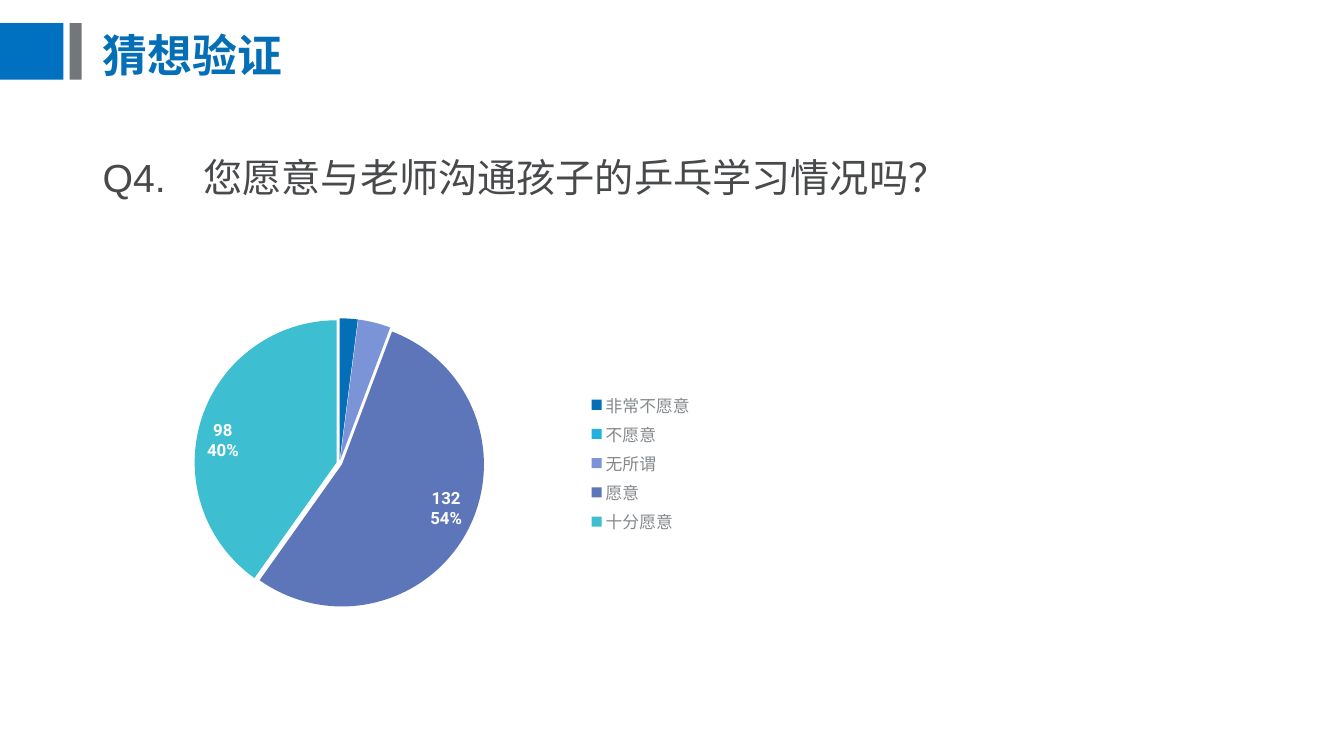
from lxml import etree
from pptx import Presentation
from pptx.chart.data import CategoryChartData
from pptx.dml.color import RGBColor
from pptx.enum.chart import XL_CHART_TYPE, XL_LABEL_POSITION, XL_LEGEND_POSITION
from pptx.enum.shapes import MSO_SHAPE
from pptx.enum.text import MSO_ANCHOR, MSO_AUTO_SIZE
from pptx.oxml.ns import qn
from pptx.util import Inches, Pt

PIE = XL_CHART_TYPE.PIE
INSIDE_END = XL_LABEL_POSITION.INSIDE_END
LEGEND_RIGHT = XL_LEGEND_POSITION.RIGHT
RECTANGLE = MSO_SHAPE.RECTANGLE
MIDDLE, TOP = MSO_ANCHOR.MIDDLE, MSO_ANCHOR.TOP
FIT_SHAPE, NO_FIT = MSO_AUTO_SIZE.SHAPE_TO_FIT_TEXT, MSO_AUTO_SIZE.NONE

COLORS = {
    "bar_blue": "0070C0", "bar_gray": "73767A", "title": "046FB6",
    "text": "47494B", "legend": "85898C", "white": "FFFFFF",
}
ANSWERS = [
    ("非常不愿意", 5, "046FB6"),
    ("不愿意", 0, "22B1DE"),
    ("无所谓", 9, "7B93D7"),
    ("愿意", 132, "5D76BA"),
    ("十分愿意", 98, "3DBFD1"),
]
SMALLEST_LABELED = 50
LEFT_MARGIN = 6.9


class SlideBuilder:
    """Places elements by percentages of the slide's width and height."""

    text_font = "Arial"
    chart_font = "Roboto"

    def __init__(self, deck):
        self.deck = deck
        self.page = deck.slides.add_slide(deck.slide_layouts[6])

    def area(self, left, top, width, height):
        across, down = self.deck.slide_width / 100, self.deck.slide_height / 100
        return [round(n) for n in (left * across, top * down, width * across, height * down)]

    def style(self, font, name, size, color, bold=False):
        font.name, font.size, font.bold = name, Pt(size), bold
        font.color.rgb = RGBColor.from_string(COLORS[color])

    def bar(self, place, color):
        shape = self.page.shapes.add_shape(RECTANGLE, *self.area(*place))
        shape.shadow.inherit = False
        shape.fill.solid()
        shape.fill.fore_color.rgb = RGBColor.from_string(COLORS[color])
        shape.line.fill.background()

    def text(self, place, words, size, color, spacing, bold=False, wrap=True, anchor=TOP):
        box = self.page.shapes.add_textbox(*self.area(*place))
        frame = box.text_frame
        frame.word_wrap = wrap
        frame.auto_size = NO_FIT if wrap else FIT_SHAPE
        frame.vertical_anchor = anchor
        para = frame.paragraphs[0]
        para.line_spacing = spacing
        span = para.add_run()
        span.text = words
        self.style(span.font, self.text_font, size, color, bold)

    def pie(self, place, answers):
        data = CategoryChartData()
        data.categories = [name for name, _, _ in answers]
        data.add_series("Series 1", [count for _, count, _ in answers])
        chart = self.page.shapes.add_chart(PIE, *self.area(*place), data).chart
        chart.has_title = False
        self.style(chart.font, self.chart_font, 10, "text")

        chart.has_legend = True
        chart.legend.position = LEGEND_RIGHT
        chart.legend.include_in_layout = False
        self.style(chart.legend.font, self.chart_font, 12, "legend")

        plot = chart.plots[0]
        plot.vary_by_categories = True
        series = plot.series[0]
        explosion = etree.Element(qn("c:explosion"), val="2")
        series._element.find(qn("c:tx")).addnext(explosion)
        for index, (_, _, color) in enumerate(answers):
            fill = series.points[index].format.fill
            fill.solid()
            fill.fore_color.rgb = RGBColor.from_string(color)
        self.pie_labels(series.data_labels, answers)

    def pie_labels(self, labels, answers):
        """Shows count and share on two lines, leaving out the small slices."""
        labels.show_value = labels.show_percentage = True
        labels.position = INSIDE_END
        self.style(labels.font, self.chart_font, 12, "white", bold=True)
        element = labels._element
        separator = etree.Element(qn("c:separator"))
        separator.text = "\n"
        element.find(qn("c:showBubbleSize")).addnext(separator)
        small = [i for i, answer in enumerate(answers) if answer[1] < SMALLEST_LABELED]
        for order, index in enumerate(small):
            label = etree.Element(qn("c:dLbl"))
            etree.SubElement(label, qn("c:idx"), val=str(index))
            etree.SubElement(label, qn("c:delete"), val="1")
            element.insert(order, label)


def main():
    deck = Presentation()
    deck.slide_width, deck.slide_height = Inches(13.33), Inches(7.5)
    builder = SlideBuilder(deck)
    for left, width, color in ((0, 4.72, "bar_blue"), (5.18, 0.9, "bar_gray")):
        builder.bar((left, 3.07, width, 7.47), color)
    builder.text((LEFT_MARGIN, 1.87, 85.15, 11.6), "猜想验证", 32, "title", 0.9,
                 bold=True, anchor=MIDDLE)
    builder.text((LEFT_MARGIN, 17.73, 65.04, 8.67),
                 "Q4.\t您愿意与老师沟通孩子的乒乓学习情况吗？", 28, "text", 1.3, wrap=False)
    builder.pie((LEFT_MARGIN, 40.27, 45.46, 42), ANSWERS)
    deck.save("out.pptx")


if __name__ == "__main__":
    main()
